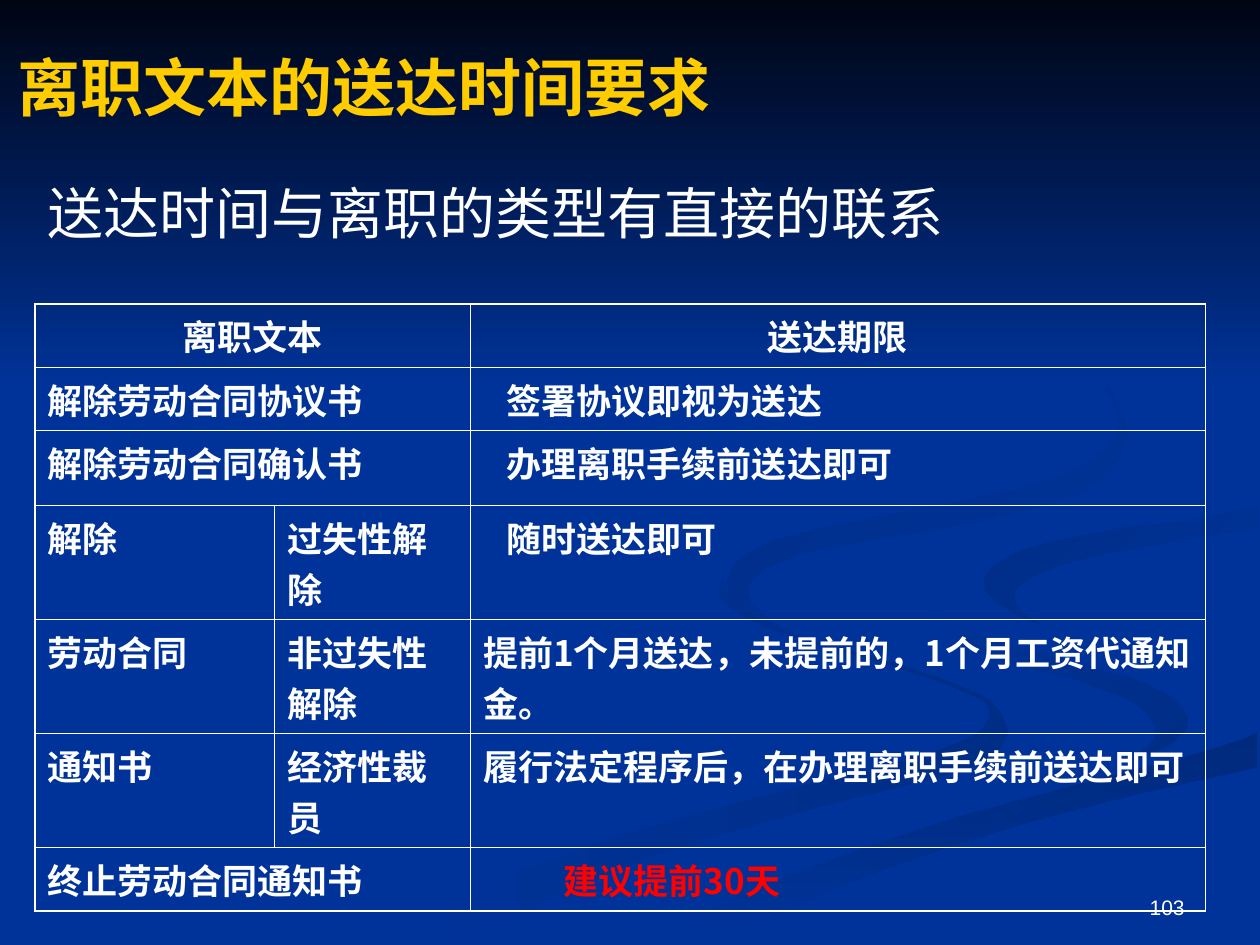
from lxml.etree import SubElement
from pptx import Presentation
from pptx.dml.color import RGBColor
from pptx.enum.shapes import MSO_SHAPE as Shape
from pptx.enum.text import MSO_ANCHOR as Anchor, PP_ALIGN as Align
from pptx.oxml import parse_xml
from pptx.oxml.ns import nsdecls, qn
from pptx.util import Pt

NIGHT = RGBColor(0x00, 0x05, 0x14)
BLUE = RGBColor(0x00, 0x33, 0x99)
DEEP_BLUE = RGBColor(0x00, 0x2D, 0x86)
DARK_BLUE = RGBColor(0x00, 0x2A, 0x7D)
WHITE = RGBColor(0xFF, 0xFF, 0xFF)
GOLD = RGBColor(0xFF, 0xCC, 0x00)
RED = RGBColor(0xFF, 0x00, 0x00)

CJK_FONT = "Noto Sans CJK SC"
GRID = Pt(0.72)  # unit of the ribbon outlines
OUTER, INNER = 1.08, 0.45
CELL_INSET = 7.2

# Edges shared by neighbouring ribbons
BEND = [(943, 570), (939, 562), (930, 553), (919, 547), (905, 540), (870, 530),
        (830, 519), (792, 509), (758, 498), (745, 490), (733, 483), (727, 474),
        (724, 464)]
SWEEP = [(998, 581), (985, 587), (963, 594), (936, 602), (903, 610), (831, 629),
         (764, 647), (696, 669), (630, 693), (569, 719), (543, 733), (519, 747),
         (503, 749)]
TIP = [(998, 402), (967, 409), (933, 415), (898, 418), (865, 424), (835, 430),
       (810, 437), (791, 447), (785, 453), (781, 460)]

LOWER_RIBBON = [
    (781, 553), (767, 547), (745, 538), (715, 528), (661, 513), (626, 502),
    (602, 490), (587, 481), (579, 473), (575, 466), (575, 459), (570, 468),
    (572, 476), (581, 483), (593, 491), (611, 499), (654, 513), (697, 525),
    (728, 535), (752, 543), (770, 551), (781, 556), (785, 562), (785, 570),
    (780, 579), (767, 587), (749, 594), (727, 602), (699, 609), (652, 620),
    (579, 639), (499, 661), (417, 690), (376, 707), (338, 727), (300, 749),
    (361, 749), (396, 731), (466, 700), (532, 674), (594, 656), (651, 640),
    (699, 628), (740, 618), (769, 609), (786, 601), (795, 592), (800, 581),
    (795, 567), (786, 556)]
BEND_SHADE = BEND + [
    (725, 474), (730, 483), (739, 494), (755, 505), (781, 518), (815, 530),
    (854, 539), (880, 549), (900, 557), (911, 567), (917, 576), (917, 585),
    (911, 593), (894, 605), (916, 597), (932, 589), (941, 581)]
SWEEP_SHADE = SWEEP + [
    (571, 749), (587, 740), (614, 726), (649, 710), (695, 692), (752, 672),
    (821, 651), (903, 630), (998, 609)]
MAIN_RIBBON = BEND[::-1] + [
    (942, 579), (931, 590), (911, 600), (881, 608), (843, 618), (780, 634),
    (704, 655), (619, 684), (526, 724), (477, 749)] + SWEEP[::-1] + [
    (999, 538), (959, 531), (904, 519), (848, 503), (817, 492), (794, 480),
    (784, 469)] + TIP[::-1] + [
    (999, 387), (962, 395), (920, 401), (851, 411), (788, 422), (755, 432),
    (732, 446), (725, 459)]
TIP_SHADE = TIP + [
    (782, 469), (791, 478), (806, 487), (826, 496), (812, 487), (805, 476),
    (806, 468), (816, 459), (843, 448), (878, 439), (936, 429), (971, 423),
    (998, 420)]
UPPER_RIBBON = [
    (683, 430), (739, 421), (786, 412), (825, 402), (855, 391), (876, 378),
    (889, 362), (894, 344), (890, 324), (880, 307), (864, 291), (843, 275),
    (810, 256), (780, 241), (762, 233), (805, 254), (846, 279), (862, 292),
    (876, 306), (885, 320), (889, 335), (886, 348), (876, 360), (861, 370),
    (842, 378), (818, 386), (763, 398), (704, 409), (649, 420), (615, 429),
    (597, 437), (584, 446), (577, 462), (580, 474), (590, 484), (604, 492),
    (622, 500), (607, 490), (597, 480), (593, 470), (596, 461), (606, 452),
    (624, 444), (649, 436)]

DOCUMENTS = [
    ("离职文本", "", "送达期限"),
    ("解除劳动合同协议书", "", "签署协议即视为送达"),
    ("解除劳动合同确认书", "", "办理离职手续前送达即可"),
    ("解除", "过失性解除", "随时送达即可"),
    ("劳动合同", "非过失性解除", "提前1个月送达，未提前的，1个月工资代通知金。"),
    ("通知书", "经济性裁员", "履行法定程序后，在办理离职手续前送达即可"),
    ("终止劳动合同通知书", "", "建议提前30天"),
]
DEADLINE_INDENTS = {1: 13.5, 2: 13.5, 3: 13.5, 6: 46}
COLUMN_WIDTHS = [137, 112, 420]
ROW_HEIGHTS = [36.2, 36.2, 42.7, 65.2, 65.2, 65.2, 36.2]


class SlideBuilder:
    def __init__(self, deck):
        self.slide = deck.slides.add_slide(deck.slide_layouts[6])
        self.shapes = self.slide.shapes

    def background(self, color):
        self.slide.background.fill.solid()
        self.slide.background.fill.fore_color.rgb = color

    def paint(self, shape, start, end, angle):
        """Fill without outline; angle runs clockwise from left to right."""
        shape.shadow.inherit = False
        shape.line.fill.background()
        if start == end:
            shape.fill.solid()
            shape.fill.fore_color.rgb = start
            return
        shape.fill.gradient()
        shape.fill.gradient_angle = (360 - angle) % 360
        for stop, color in zip(shape.fill.gradient_stops, (start, end)):
            stop.color.rgb = color

    def ribbon(self, outline, start, end, angle=0):
        builder = self.shapes.build_freeform(*outline[0], scale=GRID)
        builder.add_line_segments(outline[1:], close=True)
        self.paint(builder.convert_to_shape(), start, end, angle)

    def band(self, left, top, width, height, start, end):
        band = self.shapes.add_shape(Shape.RECTANGLE, Pt(left), Pt(top),
                                     Pt(width), Pt(height))
        self.paint(band, start, end, 90)

    def style(self, paragraph, size, color, bold=False, font=CJK_FONT):
        for run in paragraph.runs:
            run.font.size = Pt(size)
            run.font.bold = bold
            run.font.color.rgb = color
            run.font.name = font
            SubElement(run.font._element, qn("a:ea")).set("typeface", CJK_FONT)

    def text(self, words, left, top, width, height, size, color,
             anchor=Anchor.TOP, align=Align.LEFT, spacing=1.0, **look):
        frame = self.shapes.add_textbox(Pt(left), Pt(top), Pt(width),
                                        Pt(height)).text_frame
        frame.word_wrap = True
        frame.vertical_anchor = anchor
        frame.text = words
        paragraph = frame.paragraphs[0]
        paragraph.alignment = align
        paragraph.line_spacing = spacing
        self.style(paragraph, size, color, **look)

    def borders(self, cell, widths):
        """Draw white borders; widths are left, right, top, bottom."""
        properties = cell._tc.get_or_add_tcPr()
        for place, (side, width) in enumerate(zip("LRTB", widths)):
            properties.insert(place, parse_xml(
                f'<a:ln{side} {nsdecls("a")} w="{Pt(width)}"><a:solidFill>'
                f'<a:srgbClr val="{WHITE}"/></a:solidFill></a:ln{side}>'))

    def table(self, rows, left, top, widths, heights):
        table = self.shapes.add_table(
            len(rows), len(widths), Pt(left), Pt(top),
            Pt(sum(widths)), Pt(sum(heights))).table
        table.first_row = table.horz_banding = False
        for column, width in zip(table.columns, widths):
            column.width = Pt(width)
        for row, height in zip(table.rows, heights):
            row.height = Pt(height)
        last_row, last_column = len(rows) - 1, len(widths) - 1
        for r, row in enumerate(rows):
            if not row[1]:
                table.cell(r, 0).merge(table.cell(r, 1))
            for c, words in enumerate(row):
                cell = table.cell(r, c)
                cell.fill.background()
                at_edge = (c == 0, c == last_column, r == 0, r == last_row)
                self.borders(cell, [OUTER if edge else INNER for edge in at_edge])
                if not words:
                    continue
                cell.text = words
                paragraph = cell.text_frame.paragraphs[0]
                paragraph.alignment = Align.LEFT if r else Align.CENTER
                if c == last_column:
                    cell.margin_left = Pt(CELL_INSET + DEADLINE_INDENTS.get(r, 0))
                is_advice = (r, c) == (last_row, last_column)
                self.style(paragraph, 20, RED if is_advice else WHITE, bold=True)


def main():
    deck = Presentation()
    deck.slide_width, deck.slide_height = Pt(720), Pt(540)
    page = SlideBuilder(deck)
    page.background(BLUE)
    page.ribbon(LOWER_RIBBON, BLUE, DEEP_BLUE)
    page.ribbon(BEND_SHADE, BLUE, DEEP_BLUE, 45)
    page.ribbon(SWEEP_SHADE, DARK_BLUE, BLUE, 90)
    page.ribbon(MAIN_RIBBON, BLUE, BLUE)
    page.ribbon(TIP_SHADE, DEEP_BLUE, BLUE, 45)
    page.ribbon(UPPER_RIBBON, DEEP_BLUE, BLUE, 45)
    page.band(0, 0, 720, 222, NIGHT, BLUE)
    page.text("103", 516, 491.5, 168, 37.5, 12, WHITE, anchor=Anchor.BOTTOM,
              align=Align.RIGHT, font="Arial")
    page.text("离职文本的送达时间要求", 3, 4.5, 648, 90, 36, GOLD,
              anchor=Anchor.MIDDLE, bold=True, font="Times New Roman")
    page.text("送达时间与离职的类型有直接的联系", 20, 106, 595.5, 39.5, 32,
              WHITE, spacing=0.8)
    page.table(DOCUMENTS, 19.8, 173.6, COLUMN_WIDTHS, ROW_HEIGHTS)
    deck.save("out.pptx")


if __name__ == "__main__":
    main()
